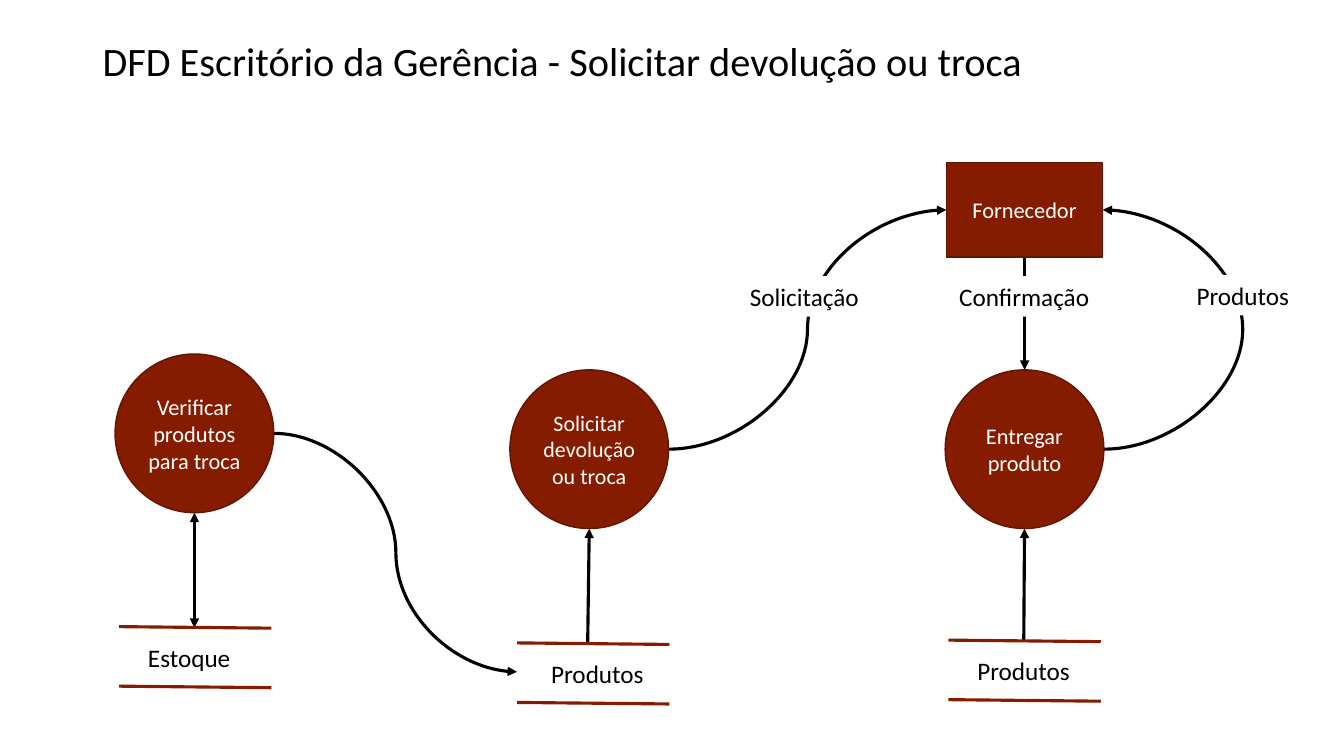
"""Build the data flow diagram slide for requesting a return or exchange."""
from typing import NamedTuple, Optional

from lxml.etree import SubElement
from pptx import Presentation
from pptx.dml.color import RGBColor
from pptx.enum.shapes import MSO_CONNECTOR as CXN, MSO_SHAPE as SHAPE
from pptx.enum.text import MSO_ANCHOR as ANCHOR, MSO_AUTO_SIZE as AUTO, PP_ALIGN as ALIGN
from pptx.oxml.ns import qn
from pptx.util import Cm, Pt

BLACK = RGBColor(0x00, 0x00, 0x00)
WHITE = RGBColor(0xFF, 0xFF, 0xFF)
RED = RGBColor(0x85, 0x1C, 0x00)
DARK_RED = RGBColor(0x62, 0x15, 0x00)
FONT = "Calibri"
STORE_W, STORE_GAP, STORE_SKEW = 3.84, 1.5, 0.04
LABEL_W, LABEL_H = 4.22, 1.02


class Node(NamedTuple):
    text: str
    cx: float
    cy: float
    w: float = 4.0
    h: float = 4.0
    size: float = 16
    kind: SHAPE = SHAPE.OVAL

    @property
    def left(self) -> float:
        return self.cx - self.w / 2

    @property
    def right(self) -> float:
        return self.cx + self.w / 2

    @property
    def top(self) -> float:
        return self.cy - self.h / 2

    @property
    def bottom(self) -> float:
        return self.cy + self.h / 2


class Store(NamedTuple):
    text: str
    left: float
    top: float
    text_left: float
    text_w: float


class Flow(NamedTuple):
    x1: float
    y1: float
    x2: float
    y2: float
    bend: Optional[float] = None
    both: bool = False


class Label(NamedTuple):
    text: str
    left: float
    top: float


CHECK = Node("Verificar produtos para troca", 4.9, 10.92)
REQUEST = Node("Solicitar devolução ou troca", 14.85, 11.32, size=15.7)
DELIVER = Node("Entregar produto", 25.82, 11.32)
SUPPLIER = Node("Fornecedor", 25.82, 5.29, 3.94, 2.38, kind=SHAPE.RECTANGLE)

STOCK = Store("Estoque", 3.0, 15.79, 3.48, 2.62)
REQUEST_GOODS = Store("Produtos", 13.03, 16.2, 13.64, 2.87)
DELIVER_GOODS = Store("Produtos", 23.9, 16.13, 24.38, 2.87)

FLOWS = [
    Flow(REQUEST.right, REQUEST.cy, SUPPLIER.left, SUPPLIER.cy, bend=20.35),
    Flow(CHECK.right, CHECK.cy, REQUEST_GOODS.left, 16.93, bend=9.98),
    Flow(DELIVER.right, DELIVER.cy, SUPPLIER.right, SUPPLIER.cy, bend=31.32),
    Flow(CHECK.cx, CHECK.bottom, CHECK.cx, STOCK.top + 0.03, both=True),
    Flow(14.81, REQUEST_GOODS.top, REQUEST.cx, REQUEST.bottom),
    Flow(25.8, DELIVER_GOODS.top, DELIVER.cx, DELIVER.bottom),
    Flow(SUPPLIER.cx, SUPPLIER.bottom, DELIVER.cx, DELIVER.top),
]

LABELS = [
    Label("Confirmação", 23.7, 6.96),
    Label("Solicitação", 18.16, 6.96),
    Label("Produtos", 29.21, 6.93),
]


def write(sp, text: str, size: float, color: RGBColor, align: ALIGN, anchor: ANCHOR):
    tf = sp.text_frame
    tf.text = text
    tf.word_wrap = True
    tf.vertical_anchor = anchor
    p = tf.paragraphs[0]
    p.alignment = align
    font = p.runs[0].font
    font.name, font.size = FONT, Pt(size)
    font.color.rgb = color
    return tf


def add_line(shapes, kind: CXN, x1: float, y1: float, x2: float, y2: float, color: RGBColor):
    cxn = shapes.add_connector(kind, Cm(x1), Cm(y1), Cm(x2), Cm(y2))
    cxn.line.color.rgb = color
    cxn.line.width = Pt(2.25)
    SubElement(cxn._element.spPr, qn("a:effectLst"))
    return cxn


def add_flow(shapes, flow: Flow) -> None:
    kind = CXN.STRAIGHT if flow.bend is None else CXN.CURVE
    cxn = add_line(shapes, kind, flow.x1, flow.y1, flow.x2, flow.y2, BLACK)
    if flow.bend is not None:
        ratio = (Cm(flow.bend) - cxn.begin_x) / (cxn.end_x - cxn.begin_x)
        guides = cxn._element.spPr.find(qn("a:prstGeom")).find(qn("a:avLst"))
        SubElement(guides, qn("a:gd"), name="adj1", fmla=f"val {round(ratio * 100000)}")
    ln = cxn.line._get_or_add_ln()
    for end in ("headEnd", "tailEnd") if flow.both else ("tailEnd",):
        SubElement(ln, qn(f"a:{end}"), type="triangle")


def add_node(shapes, node: Node) -> None:
    sp = shapes.add_shape(node.kind, Cm(node.left), Cm(node.top), Cm(node.w), Cm(node.h))
    sp.shadow.inherit = False
    sp.fill.solid()
    sp.fill.fore_color.rgb = RED
    sp.line.color.rgb = DARK_RED
    sp.line.width = Pt(1)
    write(sp, node.text, node.size, WHITE, ALIGN.CENTER, ANCHOR.MIDDLE)


def add_store(shapes, store: Store) -> None:
    group = shapes.add_group_shape().shapes
    for y in (store.top, store.top + STORE_GAP):
        add_line(group, CXN.STRAIGHT, store.left, y, store.left + STORE_W, y + STORE_SKEW, RED)
    sp = group.add_textbox(Cm(store.text_left), Cm(store.top + 0.26), Cm(store.text_w), Cm(LABEL_H))
    write(sp, store.text, 18, BLACK, ALIGN.LEFT, ANCHOR.TOP).word_wrap = False


def add_label(shapes, label: Label) -> None:
    sp = shapes.add_shape(SHAPE.RECTANGLE, Cm(label.left), Cm(label.top), Cm(LABEL_W), Cm(LABEL_H))
    sp.shadow.inherit = False
    sp.fill.solid()
    sp.fill.fore_color.rgb = WHITE
    sp.line.fill.background()
    write(sp, label.text, 18, BLACK, ALIGN.CENTER, ANCHOR.TOP)


def main() -> None:
    prs = Presentation()
    prs.slide_width, prs.slide_height = Cm(33.87), Cm(19.05)
    s = prs.slides.add_slide(prs.slide_layouts[5])
    title = s.shapes.title
    title.left, title.top, title.width, title.height = Cm(2.33), Cm(1.02), Cm(29.21), Cm(1.17)
    tf = write(title, "DFD Escritório da Gerência - Solicitar devolução ou troca",
               28.8, BLACK, ALIGN.LEFT, ANCHOR.MIDDLE)
    tf.auto_size = AUTO.NONE
    tf.paragraphs[0].line_spacing = 0.9
    for draw, items in (
        (add_flow, FLOWS),
        (add_node, (CHECK, REQUEST, DELIVER, SUPPLIER)),
        (add_store, (STOCK, REQUEST_GOODS, DELIVER_GOODS)),
        (add_label, LABELS),
    ):
        for item in items:
            draw(s.shapes, item)
    prs.save("out.pptx")


main()
